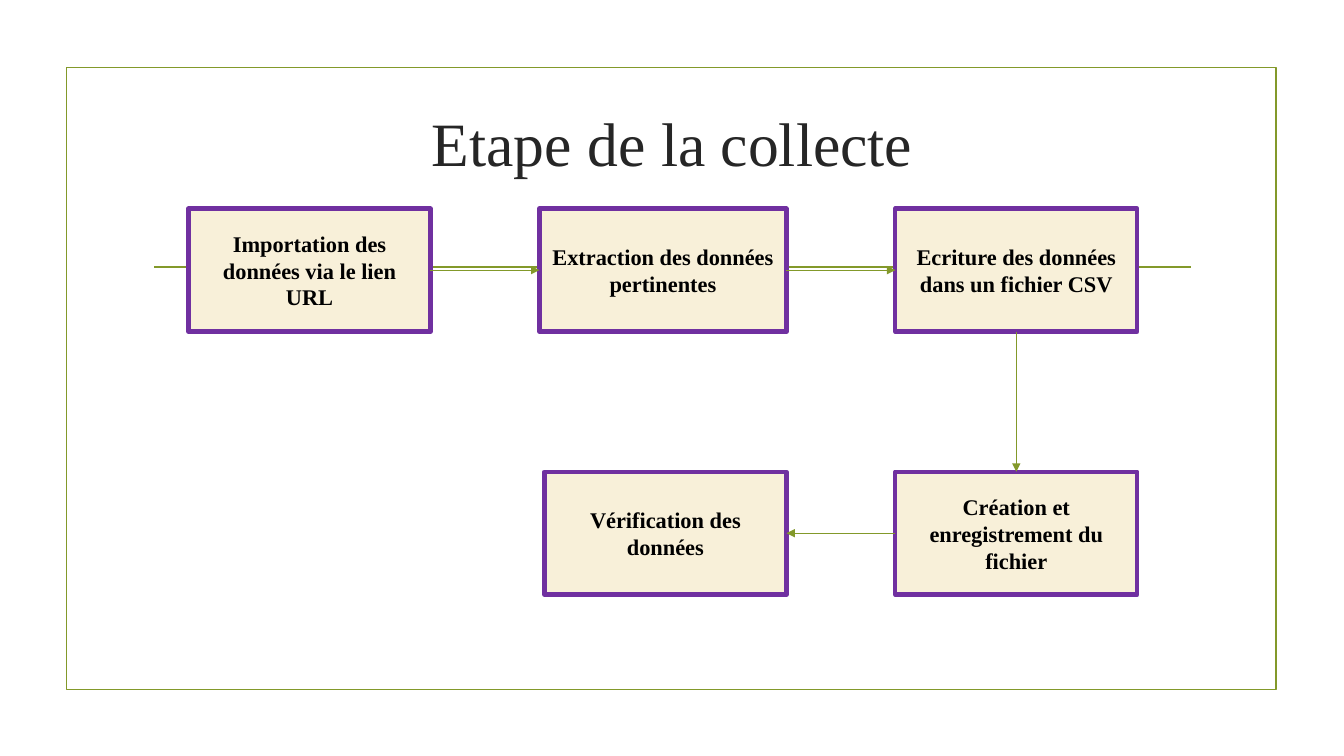
"""Build the slide showing the steps of the data collection."""
import pptx
import pptx.dml.color
import pptx.enum.shapes
import pptx.enum.text
import pptx.oxml
import pptx.oxml.ns
import pptx.util

Inches = pptx.util.Inches
GREEN, PURPLE, CREAM = "83992A", "7030A0", "F8F0D9"
COLUMNS = (1.87, 5.4, 8.88)
ROWS = (2.07, 4.68)
STEP_WIDTH, STEP_HEIGHT = 2.4, 1.22
TOP, LEFT, BOTTOM, RIGHT = range(4)


def paint(color_owner, hex_color):
    """Give a fill or font a solid colour."""
    if hasattr(color_owner, "solid"):
        color_owner.solid()
        color_owner = color_owner.fore_color
    else:
        color_owner = color_owner.color
    color_owner.rgb = pptx.dml.color.RGBColor.from_string(hex_color)


def write(shape, text, size, color, bold=False):
    """Write centred text into a shape."""
    frame = shape.text_frame
    frame.word_wrap = True
    frame.vertical_anchor = pptx.enum.text.MSO_ANCHOR.MIDDLE
    paragraph = frame.paragraphs[0]
    paragraph.alignment = pptx.enum.text.PP_ALIGN.CENTER
    run = paragraph.add_run()
    run.text = text
    run.font.name = "Times New Roman"
    run.font.size = pptx.util.Pt(size)
    run.font.bold = bold
    paint(run.font, color)


def add_box(slide, left, top, width, height, border, weight, fill=None):
    """Add a bordered rectangle, filled or hollow."""
    box = slide.shapes.add_shape(
        pptx.enum.shapes.MSO_SHAPE.RECTANGLE,
        Inches(left), Inches(top), Inches(width), Inches(height))
    box.shadow.inherit = False
    if fill:
        paint(box.fill, fill)
    else:
        box.fill.background()
    paint(box.line.fill, border)
    box.line.width = pptx.util.Pt(weight)
    return box


def add_step(slide, text, column, row, extra_left=0):
    """Add one step of the collection at a grid position."""
    step = add_box(slide, COLUMNS[column] - extra_left, ROWS[row],
                   STEP_WIDTH + extra_left, STEP_HEIGHT, PURPLE, 3.15, CREAM)
    write(step, text, size=16, color="000000", bold=True)
    return step


def add_line(slide, weight, start=(0, 0), end=(0, 0)):
    """Add a straight green line without shadow."""
    line = slide.shapes.add_connector(
        pptx.enum.shapes.MSO_CONNECTOR.STRAIGHT,
        *(Inches(value) for value in (*start, *end)))
    paint(line.line.fill, GREEN)
    line.line.width = pptx.util.Pt(weight)
    line._element.spPr.append(pptx.oxml.parse_xml(
        f'<a:effectLst {pptx.oxml.ns.nsdecls("a")}/>'))
    return line


def add_arrow(slide, source, source_side, target, target_side):
    """Join two steps with an arrow."""
    arrow = add_line(slide, 0.9)
    arrow.begin_connect(source, source_side)
    arrow.end_connect(target, target_side)
    arrow.line._get_or_add_ln().append(pptx.oxml.parse_xml(
        f'<a:tailEnd {pptx.oxml.ns.nsdecls("a")} type="triangle"/>'))


def main():
    """Build and save the slide."""
    deck = pptx.Presentation()
    deck.slide_width, deck.slide_height = Inches(13.33), Inches(7.5)
    slide = deck.slides.add_slide(deck.slide_layouts[5])

    add_box(slide, 0.66, 0.67, 12, 6.17, GREEN, 1.25)
    add_line(slide, 1.25, (1.53, 2.65), (11.81, 2.65))

    title = slide.shapes.title
    title.left, title.top = Inches(1.42), Inches(0.69)
    title.width, title.height = Inches(10.5), Inches(1.43)
    write(title, "Etape de la collecte", size=44, color="262626")

    importation = add_step(slide, "Importation des données via le lien URL", 0, 0)
    extraction = add_step(slide, "Extraction des données pertinentes", 1, 0,
                          extra_left=0.05)
    writing = add_step(slide, "Ecriture des données dans un fichier CSV", 2, 0)
    creation = add_step(slide, "Création et enregistrement du fichier", 2, 1)
    checking = add_step(slide, "Vérification des données", 1, 1)

    add_arrow(slide, importation, RIGHT, extraction, LEFT)
    add_arrow(slide, extraction, RIGHT, writing, LEFT)
    add_arrow(slide, writing, BOTTOM, creation, TOP)
    add_arrow(slide, creation, LEFT, checking, RIGHT)

    deck.save("out.pptx")


if __name__ == "__main__":
    main()
